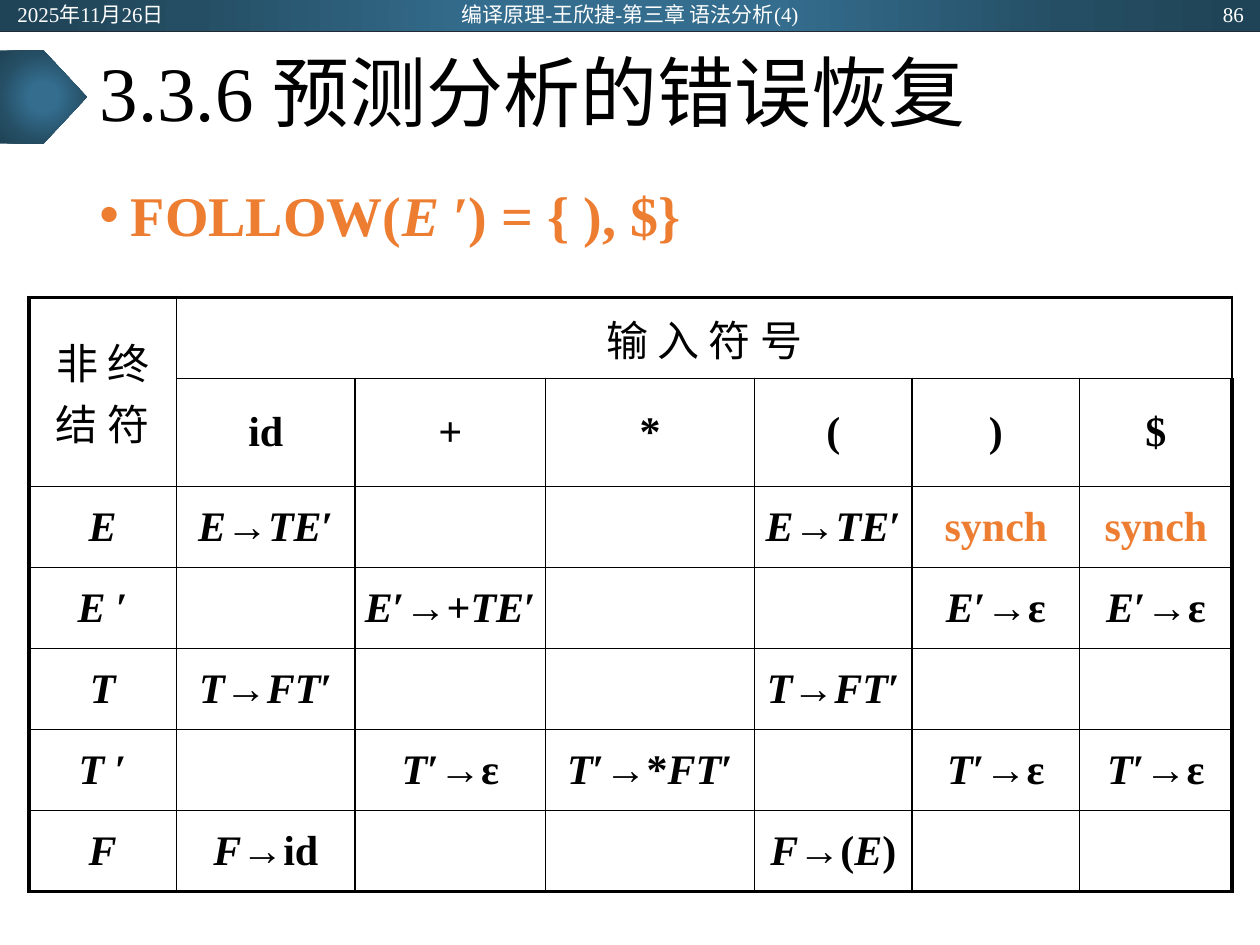
from lxml import etree
from pptx import Presentation
from pptx.dml.color import RGBColor
from pptx.enum.shapes import MSO_CONNECTOR, MSO_SHAPE
from pptx.enum.text import MSO_ANCHOR, PP_ALIGN
from pptx.oxml import parse_xml
from pptx.oxml.ns import nsdecls, qn
from pptx.util import Inches, Pt

BLACK = RGBColor(0x00, 0x00, 0x00)
WHITE = RGBColor(0xFF, 0xFF, 0xFF)
ORANGE = RGBColor(0xED, 0x7D, 0x31)
NAVY = RGBColor(0x22, 0x2A, 0x35)
GRADIENT = [(0, "346D8E"), (23, "346D8E"), (69, "254E64"), (97, "204457")]
OUTER, INNER = Pt(2.25), Pt(1)


def write(paragraph, text, size, color=BLACK, bold=False):
    """Write text as runs; the parts between underscores are italic."""
    for index, part in enumerate(text.split("_")):
        if part:
            run = paragraph.add_run()
            run.text = part
            values = {"name": "Times New Roman", "size": Pt(size),
                      "bold": bold, "italic": index % 2 == 1}
            for name, value in values.items():
                setattr(run.font, name, value)
            run.font.color.rgb = color


def add_text_box(left, top, width, height):
    frame = slide.shapes.add_textbox(
        Inches(left), Inches(top), Inches(width), Inches(height)).text_frame
    frame.word_wrap = True
    return frame


presentation = Presentation()
presentation.slide_width, presentation.slide_height = Inches(10), Inches(7.5)
slide = presentation.slides.add_slide(presentation.slide_layouts[5])

# Header bar and title marker with a radial gradient
stops = "".join(f'<a:gs pos="{position * 1000}"><a:srgbClr val="{color}"/></a:gs>'
                for position, color in GRADIENT)
for kind, top, width, height in [(MSO_SHAPE.RECTANGLE, 0, 10, 0.25),
                                 (MSO_SHAPE.PENTAGON, 0.4, 0.69, 0.74)]:
    shape = slide.shapes.add_shape(kind, 0, Inches(top), Inches(width), Inches(height))
    shape.shadow.inherit = False
    shape.line.fill.background()
    shape._element.spPr.find(qn("a:prstGeom")).addnext(parse_xml(
        f'<a:gradFill {nsdecls("a")} rotWithShape="1"><a:gsLst>{stops}</a:gsLst>'
        '<a:path path="circle"><a:fillToRect l="50000" t="50000" r="50000" b="50000"/>'
        '</a:path></a:gradFill>'))

rule = slide.shapes.add_connector(
    MSO_CONNECTOR.STRAIGHT, 0, Inches(0.25), Inches(10), Inches(0.25))
rule.line.color.rgb = NAVY
rule.line.width = Pt(0.5)
etree.SubElement(rule._element.spPr, qn("a:effectLst"))

for text, left, width, alignment in [
        ("2025年11月26日", 0.04, 2.25, PP_ALIGN.LEFT),
        ("编译原理-王欣捷-第三章 语法分析(4)", 3.31, 3.38, PP_ALIGN.CENTER),
        ("86", 7.72, 2.25, PP_ALIGN.RIGHT)]:
    frame = add_text_box(left, 0.01, width, 0.2)
    frame.margin_top = frame.margin_bottom = 0
    frame.vertical_anchor = MSO_ANCHOR.MIDDLE
    frame.paragraphs[0].alignment = alignment
    write(frame.paragraphs[0], text, 12, WHITE)

# Title and bullet
title = slide.shapes.title
title.left, title.top = Inches(0.69), Inches(0.25)
title.width, title.height = Inches(8.62), Inches(1.04)
title.text_frame.vertical_anchor = MSO_ANCHOR.MIDDLE
paragraph = title.text_frame.paragraphs[0]
paragraph.alignment = PP_ALIGN.LEFT
paragraph.line_spacing = 0.9
write(paragraph, "3.3.6 预测分析的错误恢复", 44)

paragraph = add_text_box(0.69, 1.38, 8.62, 5.38).paragraphs[0]
properties = paragraph._p.get_or_add_pPr()
properties.set("marL", str(Inches(0.25)))
properties.set("indent", str(Inches(-0.25)))
etree.SubElement(properties, qn("a:buFont"), typeface="Arial")
etree.SubElement(properties, qn("a:buChar"), char="•")
write(paragraph, "FOLLOW(_E _′) = { ), $}", 32, ORANGE, bold=True)

# Predictive parsing table
ROWS = [
    ["非 终结 符", "输 入 符 号", "", "", "", "", ""],
    ["", "id", "+", "*", "(", ")", "$"],
    ["_E_", "_E_→_TE_′", "", "", "_E_→_TE_′", "synch", "synch"],
    ["_E _′", "", "_E_′→+_TE_′", "", "", "_E_′→ε", "_E_′→ε"],
    ["_T_", "_T_→_FT_′", "", "", "_T_→_FT_′", "", ""],
    ["_T _′", "", "_T_′→ε", "_T_′→*_FT_′", "", "_T_′→ε", "_T_′→ε"],
    ["_F_", "_F_→id", "", "", "_F_→(_E_)", "", ""],
]
COLUMN_WIDTHS = [1.17, 1.42, 1.51, 1.66, 1.25, 1.33, 1.21]
last_row, last_column = len(ROWS) - 1, len(COLUMN_WIDTHS) - 1
table = slide.shapes.add_table(
    len(ROWS), len(COLUMN_WIDTHS),
    Inches(0.23), Inches(2.36), Inches(9.54), Inches(4.5)).table
table.first_row = table.horz_banding = False
for column, width in zip(table.columns, COLUMN_WIDTHS):
    column.width = Inches(width)
table.cell(0, 0).merge(table.cell(1, 0))
table.cell(0, 1).merge(table.cell(0, last_column))

for row, texts in enumerate(ROWS):
    for column, text in enumerate(texts):
        cell = table.cell(row, column)
        cell.fill.background()
        cell.vertical_anchor = MSO_ANCHOR.MIDDLE
        cell.margin_left = cell.margin_right = Inches(0.06)
        cell.margin_top = cell.margin_bottom = Inches(0.03)
        paragraph = cell.text_frame.paragraphs[0]
        paragraph.alignment = PP_ALIGN.CENTER
        write(paragraph, text, 24, ORANGE if text == "synch" else BLACK, bold=row > 0)
        edges = [("lnL", column == 0), ("lnR", column == last_column),
                 ("lnT", row == 0), ("lnB", row == last_row)]
        for index, (tag, is_outer) in enumerate(edges):
            cell._tc.get_or_add_tcPr().insert(index, parse_xml(
                f'<a:{tag} {nsdecls("a")} w="{OUTER if is_outer else INNER}">'
                f'<a:solidFill><a:srgbClr val="{BLACK}"/></a:solidFill></a:{tag}>'))

presentation.save("out.pptx")
